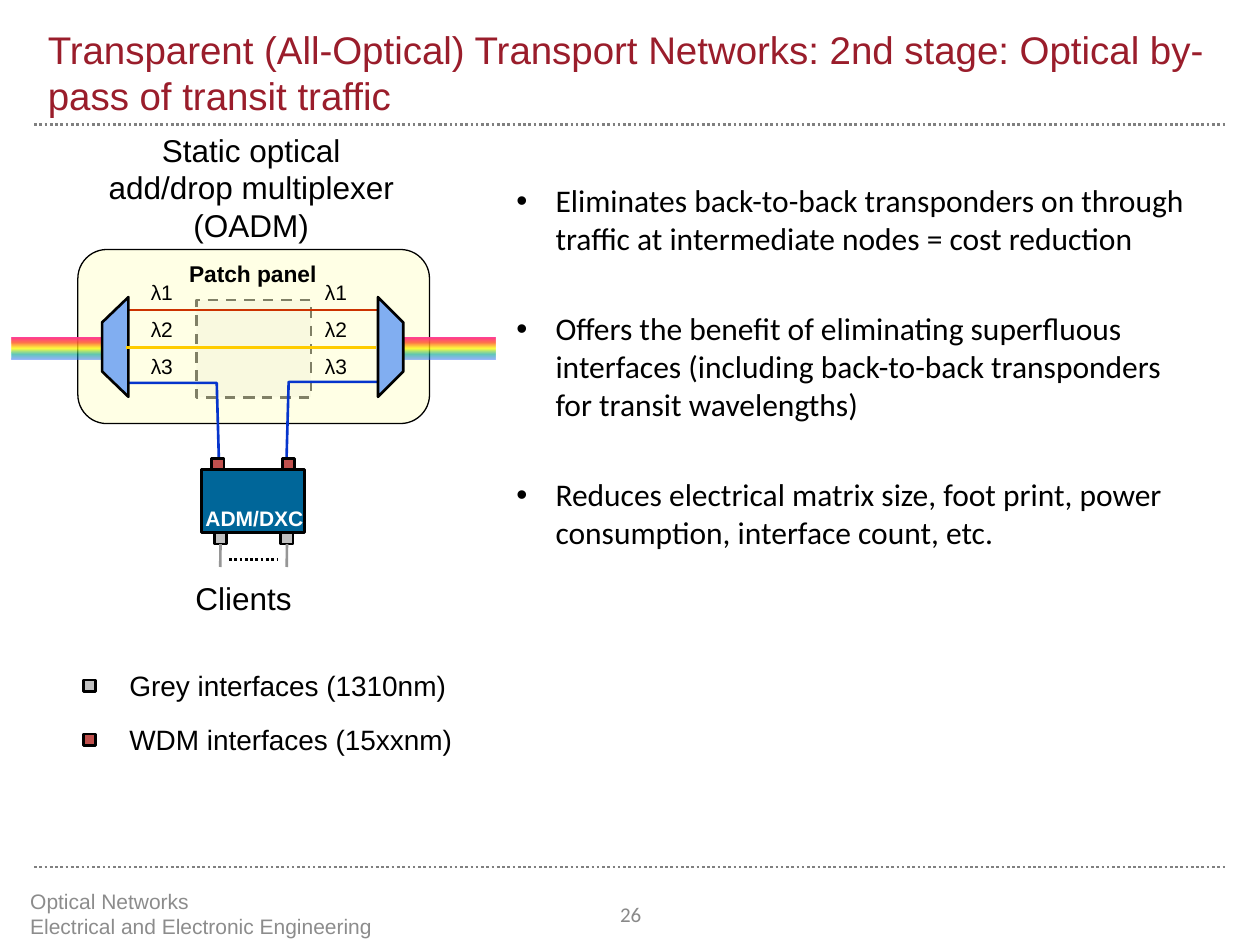
from dataclasses import dataclass

from lxml import etree
from pptx import Presentation
from pptx.dml.color import RGBColor
from pptx.enum import dml, shapes, text
from pptx.oxml import ns
from pptx.util import Cm, Pt


@dataclass(frozen=True)
class Theme:
    sans: str = "Arial"
    body_font: str = "Calibri"
    title: str = "9A1D2B"
    ink: str = "000000"
    white: str = "FFFFFF"
    rule: str = "808080"
    footer: str = "8C8C8C"
    number: str = "898989"
    grey: str = "C0C0C0"
    stub: str = "969696"
    wdm: str = "C0504D"
    panel: str = "EAEAEA"
    node: str = "FFFFCC"
    adm: str = "006699"
    mux: str = "81AEF1"
    red: str = "CC3300"
    yellow: str = "FFCC00"
    blue: str = "0635CC"
    rainbow: tuple = ((0, "FF3399", 100), (25, "FF6633", 88), (50, "FFFF00", 75),
                      (75, "01A78F", 62), (100, "3366FF", 50))
    title_size: int = 22
    body_size: int = 18
    legend_size: int = 16
    panel_size: int = 13
    small_size: int = 12
    stroke: float = 1.5


ALIGN = text.PP_ALIGN
ANCHOR = text.MSO_ANCHOR
DASH = dml.MSO_LINE


def assign(target, values):
    for name, value in values.items():
        setattr(target, name, value)


def child(parent, tag, **attributes):
    return etree.SubElement(parent, ns.qn(tag), attributes)


class SlideBuilder:
    def __init__(self, page, theme):
        self.page = page
        self.theme = theme

    def stroke(self, line, color, width=None, dash=None):
        line.color.rgb = RGBColor.from_string(color)
        assign(line, {"width": Pt(width or self.theme.stroke), "dash_style": dash})

    def finish(self, shape, fill=None, opacity=100, line=None, width=None, dash=None):
        shape.shadow.inherit = False
        if fill:
            shape.fill.solid()
            shape.fill.fore_color.rgb = RGBColor.from_string(fill)
            if opacity < 100:
                color = shape._element.spPr.find(ns.qn("a:solidFill"))[0]
                child(color, "a:alpha", val=str(opacity * 1000))
        else:
            shape.fill.background()
        if line:
            self.stroke(shape.line, line, width, dash)
        else:
            shape.line.fill.background()
        return shape

    def box(self, place, kind=shapes.MSO_SHAPE.RECTANGLE, **look):
        shape = self.page.shapes.add_shape(kind, *map(Cm, place))
        return self.finish(shape, **look)

    def port(self, left, top, color):
        return self.box((left, top, 0.25, 0.23), fill=color, line=self.theme.ink)

    def beam(self, place):
        shape = self.box(place)
        properties = shape._element.spPr
        old = properties.find(ns.qn("a:noFill"))
        gradient = etree.Element(ns.qn("a:gradFill"), rotWithShape="1")
        stops = child(gradient, "a:gsLst")
        for position, color, opacity in self.theme.rainbow:
            stop = child(stops, "a:gs", pos=str(position * 1000))
            tone = child(stop, "a:srgbClr", val=color)
            child(tone, "a:alpha", val=str(opacity * 1000))
        child(gradient, "a:lin", ang="5400000", scaled="0")
        properties.replace(old, gradient)

    def outline(self, points, close=False, **look):
        points = [(Cm(x), Cm(y)) for x, y in points]
        builder = self.page.shapes.build_freeform(*points[0])
        builder.add_line_segments(points[1:], close=close)
        return self.finish(builder.convert_to_shape(), **look)

    def line(self, start, end, color, dash=None):
        connector = self.page.shapes.add_connector(
            shapes.MSO_CONNECTOR.STRAIGHT, *map(Cm, (*start, *end)))
        self.stroke(connector.line, color, dash=dash)
        child(connector._element.spPr, "a:effectLst")
        return connector

    def span(self, paragraph, words, size, color, font=None, bold=False):
        span = paragraph.add_run()
        span.text = words
        assign(span.font, {"name": font or self.theme.sans, "size": Pt(size), "bold": bold})
        span.font.color.rgb = RGBColor.from_string(color)

    def label(self, place, lines, size, color=None, font=None, bold=False,
              align=ALIGN.LEFT, anchor=ANCHOR.TOP, frame=None, spacing=None):
        box = self.page.shapes.add_textbox(*map(Cm, place))
        assign(box.text_frame, {"word_wrap": True, "vertical_anchor": anchor, **(frame or {})})
        paragraph = box.text_frame.paragraphs[0]
        assign(paragraph, {"alignment": align, "line_spacing": spacing})
        for index, words in enumerate(lines.split("\n")):
            if index:
                paragraph.add_line_break()
            self.span(paragraph, words, size, color or self.theme.ink, font, bold)

    def title(self, place, words):
        holder = self.page.shapes.title
        assign(holder, dict(zip(("left", "top", "width", "height"), map(Cm, place))))
        assign(holder.text_frame, {"word_wrap": True, "vertical_anchor": ANCHOR.BOTTOM,
                                   "auto_size": text.MSO_AUTO_SIZE.NONE})
        paragraph = holder.text_frame.paragraphs[0]
        paragraph.alignment = ALIGN.LEFT
        self.span(paragraph, words, self.theme.title_size, self.theme.title)

    def bullets(self, place, items):
        box = self.page.shapes.add_textbox(*map(Cm, place))
        frame = box.text_frame
        frame.word_wrap = True
        for index, words in enumerate(items):
            paragraph = frame.add_paragraph() if index else frame.paragraphs[0]
            properties = paragraph._p.get_or_add_pPr()
            properties.set("marL", str(Cm(2.06)))
            properties.set("indent", str(Cm(-0.79)))
            child(properties, "a:buFont", typeface=self.theme.sans)
            child(properties, "a:buChar", char="•")
            assign(paragraph, {"level": 1, "space_before": Pt(30 if index else 0)})
            self.span(paragraph, words, self.theme.body_size, self.theme.ink,
                      self.theme.body_font)


def main():
    theme = Theme()
    deck = Presentation()
    assign(deck, {"slide_width": Cm(25.4), "slide_height": Cm(19.05)})
    slide = SlideBuilder(deck.slides.add_slide(deck.slide_layouts[5]), theme)

    for y in (2.51, 17.48):
        slide.line((0.69, y), (24.71, y), theme.rule, DASH.ROUND_DOT)
    slide.title((0.71, 0, 24, 2.51), "Transparent (All-Optical) Transport Networks: "
                "2nd stage: Optical by-pass of transit traffic")
    slide.label((0.36, 17.91, 10.74, 1.02),
                "Optical Networks\nElectrical and Electronic Engineering",
                theme.small_size, theme.footer, anchor=ANCHOR.MIDDLE)
    slide.label((11.71, 17.91, 2.01, 1.02), "26", theme.small_size, theme.number,
                theme.body_font, align=ALIGN.CENTER, anchor=ANCHOR.MIDDLE)
    slide.bullets((8.89, 3.53, 15.65, 13), (
        "Eliminates back-to-back transponders on through traffic at intermediate nodes"
        " = cost reduction",
        "Offers the benefit of eliminating superfluous interfaces (including back-to-back"
        " transponders for transit wavelengths)",
        "Reduces electrical matrix size, foot print, power consumption, interface count, etc."))

    slide.box((3.96, 6.05, 2.31, 1.96), fill=theme.panel, opacity=50,
              line=theme.ink, dash=DASH.DASH)
    slide.box((1.57, 5.03, 7.09, 3.51), shapes.MSO_SHAPE.ROUNDED_RECTANGLE,
              fill=theme.node, opacity=50, line=theme.ink, width=0.75)
    for left in (0.23, 8.13):
        slide.beam((left, 6.81, 1.85, 0.43))
    for points in (((4.42, 9.5), (4.37, 7.72), (2.59, 7.72)),
                   ((5.77, 9.5), (5.82, 7.7), (7.65, 7.7))):
        slide.outline(points, line=theme.blue)
    slide.line((2.59, 6.25), (7.62, 6.25), theme.red)

    for grey_left, wdm_left in ((4.32, 4.27), (5.66, 5.69)):
        slide.port(wdm_left, 9.25, theme.wdm)
        port = slide.port(grey_left, 10.74, theme.grey)
        center = grey_left + 0.12
        stub = slide.line((center, 11.43), (center, 10.97), theme.stub)
        stub.end_connect(port, 2)
    slide.line((4.62, 11.28), (5.61, 11.28), theme.ink, DASH.ROUND_DOT)
    slide.box((4.06, 9.47, 2.08, 1.27), fill=theme.adm, line=theme.ink)
    slide.label((3.76, 9.96, 2.74, 0.86), "ADM/DXC", theme.small_size, theme.white, bold=True,
                align=ALIGN.CENTER, anchor=ANCHOR.MIDDLE, spacing=1.2)

    for inner, outer in ((2.59, 2.06), (7.62, 8.13)):
        slide.outline(((inner, 8), (outer, 7.49), (outer, 6.5), (inner, 5.99)),
                      close=True, fill=theme.mux, line=theme.ink)
    for left in (2.79, 6.3):
        for row in range(3):
            slide.label((left, 5.51 + 0.75 * row, 1.12, 0.76), f"λ{row + 1}", theme.small_size)
    slide.line((2.54, 7.01), (7.57, 7.01), theme.yellow)

    slide.label((1.7, 2.51, 6.73, 1.45), "Static optical add/drop multiplexer (OADM)",
                theme.body_size, align=ALIGN.CENTER)
    slide.label((3.23, 5.11, 3.73, 0.81), "Patch panel", theme.panel_size, bold=True,
                align=ALIGN.CENTER)
    slide.label((3.84, 11.68, 2.57, 0.58), "Clients", theme.body_size,
                frame={"margin_left": Cm(0.1), "margin_right": Cm(0.1),
                       "margin_top": 0, "margin_bottom": 0})
    for top, width, color, words in (
            (13.36, 10.26, theme.grey, "Grey interfaces (1310nm)"),
            (14.45, 15.39, theme.wdm, "WDM interfaces (15xxnm)")):
        slide.port(1.68, top + 0.35, color)
        slide.label((2.36, top, width, 0.94), words, theme.legend_size)

    deck.save("out.pptx")


if __name__ == "__main__":
    main()
